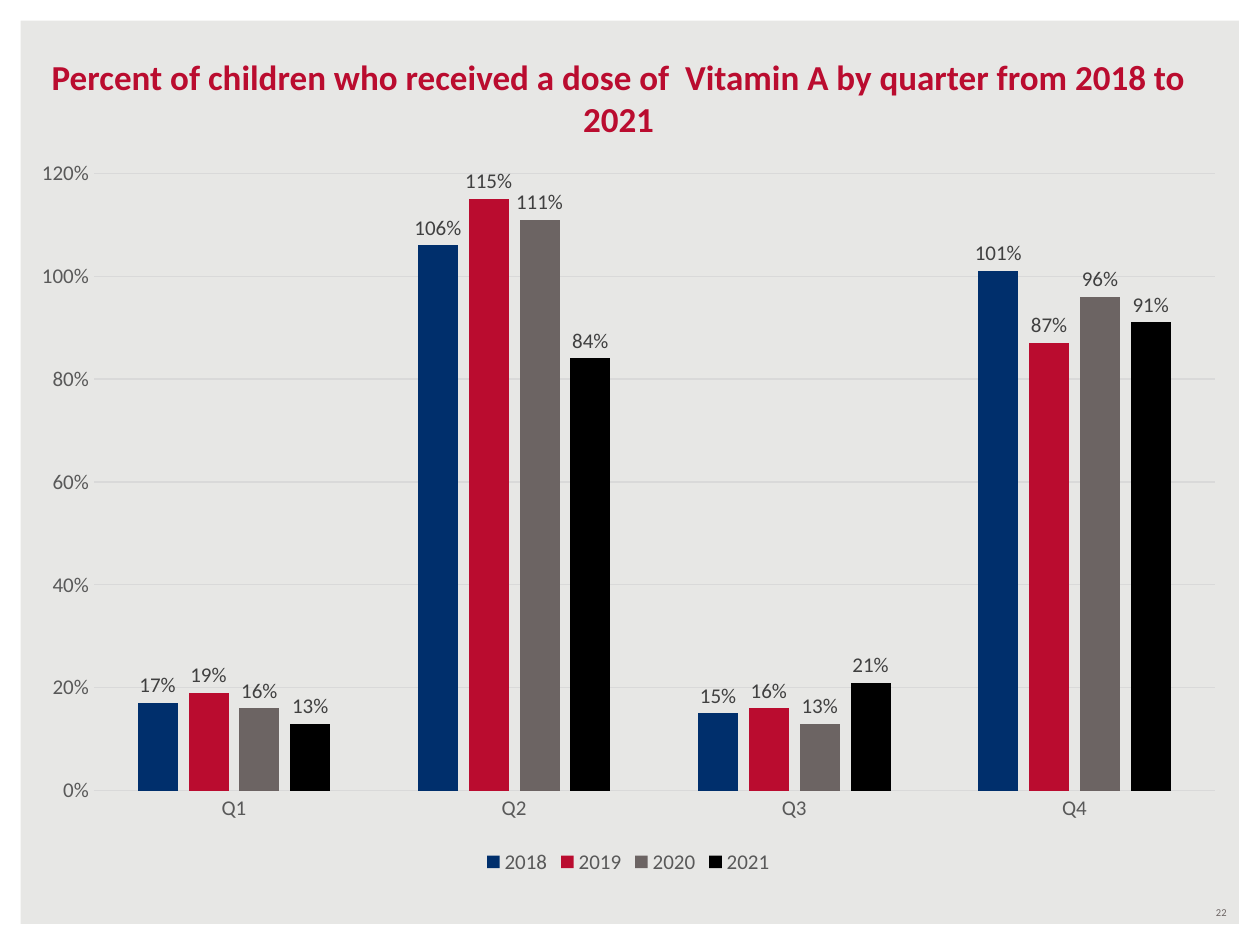
from pptx import Presentation
from pptx.chart.data import CategoryChartData
from pptx.dml.color import RGBColor
from pptx.enum.chart import XL_CHART_TYPE, XL_LABEL_POSITION, XL_LEGEND_POSITION, XL_TICK_MARK
from pptx.enum.shapes import MSO_SHAPE
from pptx.enum.text import MSO_ANCHOR, PP_ALIGN
from pptx.util import Pt

WHITE = RGBColor(0xFF, 0xFF, 0xFF)
PAPER = RGBColor(0xE7, 0xE7, 0xE5)
BLUE = RGBColor(0x00, 0x2F, 0x6C)
RED = RGBColor(0xBA, 0x0C, 0x2F)
GRAY = RGBColor(0x6C, 0x64, 0x63)
BLACK = RGBColor(0x00, 0x00, 0x00)
GRID = RGBColor(0xD9, 0xD9, 0xD9)
AXIS = RGBColor(0x59, 0x59, 0x59)
LABEL = RGBColor(0x40, 0x40, 0x40)

QUARTERS = ["Q1", "Q2", "Q3", "Q4"]
DOSES = [
    ("2018", BLUE, (0.17, 1.06, 0.15, 1.01)),
    ("2019", RED, (0.19, 1.15, 0.16, 0.87)),
    ("2020", GRAY, (0.16, 1.11, 0.13, 0.96)),
    ("2021", BLACK, (0.13, 0.84, 0.21, 0.91)),
]


class Deck:
    face = "Calibri"
    small = 12

    def __init__(self, width, height):
        self.show = Presentation()
        self.show.slide_width = Pt(width)
        self.show.slide_height = Pt(height)
        self.slide = self.show.slides.add_slide(self.show.slide_layouts[6])
        self.slide.background.fill.solid()
        self.slide.background.fill.fore_color.rgb = PAPER

    def style(self, font, size, color, bold=False):
        font.name = self.face
        font.size = Pt(size)
        font.color.rgb = color
        font.bold = bold

    def frame(self, box, edge, color):
        shape = self.slide.shapes.add_shape(MSO_SHAPE.FRAME, *map(Pt, box))
        shape.adjustments[0] = edge
        shape.shadow.inherit = False
        shape.fill.solid()
        shape.fill.fore_color.rgb = color
        shape.line.fill.background()

    def text(self, box, words, size, color, align, anchor, bold=False):
        frame = self.slide.shapes.add_textbox(*map(Pt, box)).text_frame
        frame.word_wrap = True
        frame.vertical_anchor = anchor
        para = frame.paragraphs[0]
        para.text = words
        para.alignment = align
        self.style(para.font, size, color, bold)

    def line(self, target, color):
        target.line.color.rgb = color
        target.line.width = Pt(0.75)

    def chart(self, box, names, rows):
        data = CategoryChartData(number_format="0%")
        data.categories = names
        for name, _, values in rows:
            data.add_series(name, values)
        chart = self.slide.shapes.add_chart(
            XL_CHART_TYPE.COLUMN_CLUSTERED, *map(Pt, box), data).chart
        chart.has_title = False
        self.style(chart.font, 10, BLACK)
        chart.has_legend = True
        chart.legend.position = XL_LEGEND_POSITION.BOTTOM
        chart.legend.include_in_layout = False
        self.style(chart.legend.font, self.small, AXIS)
        self.axes(chart.category_axis, chart.value_axis)
        plot = chart.plots[0]
        plot.gap_width = 219
        plot.overlap = -27
        plot.vary_by_categories = False
        for series, (_, color, _) in zip(plot.series, rows):
            self.bars(series, color)

    def axes(self, across, up):
        for axis in (across, up):
            axis.major_tick_mark = XL_TICK_MARK.NONE
            axis.minor_tick_mark = XL_TICK_MARK.NONE
            self.style(axis.tick_labels.font, self.small, AXIS)
        self.line(across.format, GRID)
        up.format.line.fill.background()
        up.minimum_scale = 0
        up.maximum_scale = 1.2
        up.major_unit = 0.2
        up.has_major_gridlines = True
        self.line(up.major_gridlines.format, GRID)
        up.tick_labels.number_format = "0%"
        up.tick_labels.number_format_is_linked = False

    def bars(self, series, color):
        series.format.fill.solid()
        series.format.fill.fore_color.rgb = color
        series.invert_if_negative = False
        labels = series.data_labels
        labels.show_value = True
        labels.position = XL_LABEL_POSITION.OUTSIDE_END
        labels.number_format = "0%"
        labels.number_format_is_linked = False
        self.style(labels.font, self.small, LABEL)


def main():
    deck = Deck(720, 540)
    deck.frame((0, 0, 720, 540), 0.022, WHITE)
    deck.text((540, 514, 168, 14.4), "22", 6, GRAY, PP_ALIGN.RIGHT, MSO_ANCHOR.MIDDLE)
    deck.text((10, 28, 687, 55.5),
              "Percent of children who received a dose of  Vitamin A by quarter from 2018 to 2021",
              20, RED, PP_ALIGN.CENTER, MSO_ANCHOR.BOTTOM, bold=True)
    deck.chart((10, 83.5, 698, 419), QUARTERS, DOSES)
    deck.show.save("out.pptx")


if __name__ == "__main__":
    main()
